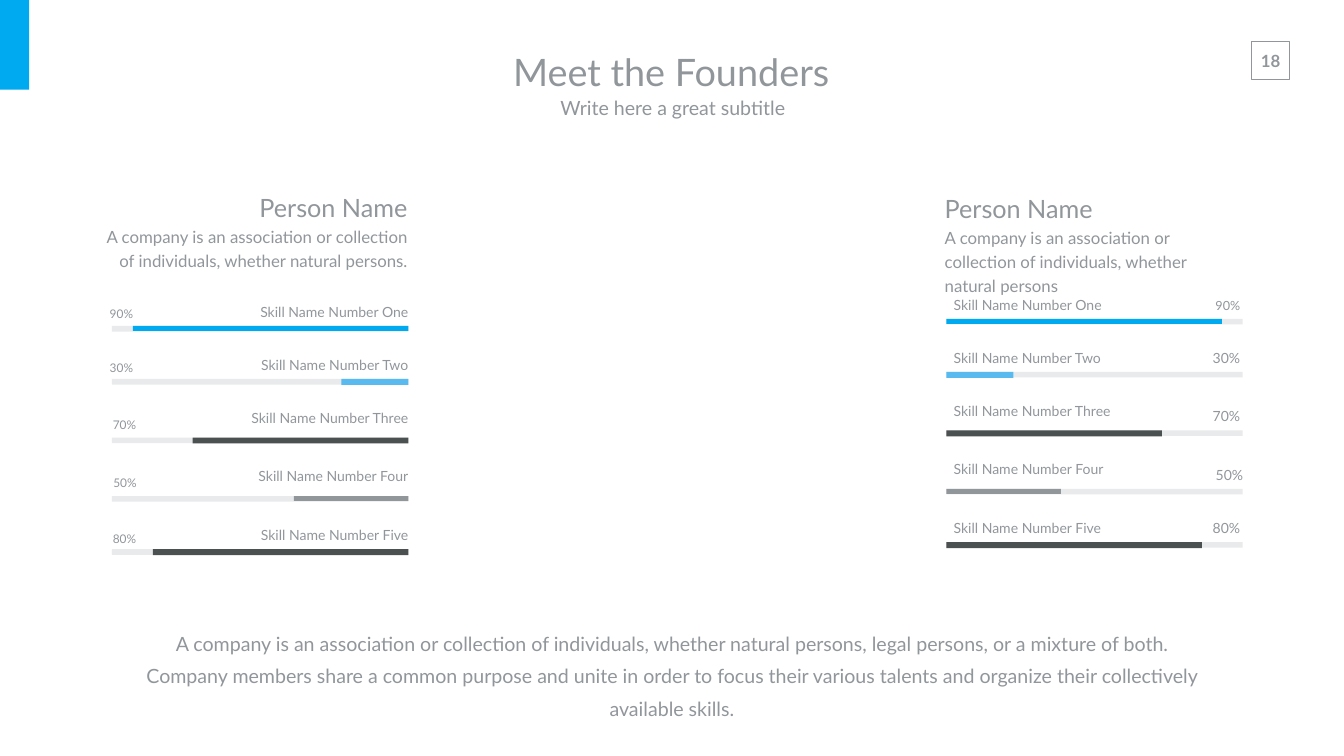
"""Build the "Meet the Founders" slide with two mirrored skill panels."""
from lxml import etree
from pptx import Presentation
from pptx.dml.color import RGBColor
from pptx.enum.shapes import MSO_SHAPE
from pptx.enum.text import MSO_ANCHOR, MSO_AUTO_SIZE, PP_ALIGN
from pptx.oxml.ns import qn
from pptx.util import Cm, Pt

RECT = MSO_SHAPE.RECTANGLE
TOP, MIDDLE = MSO_ANCHOR.TOP, MSO_ANCHOR.MIDDLE
LEFT, CENTER, RIGHT = PP_ALIGN.LEFT, PP_ALIGN.CENTER, PP_ALIGN.RIGHT
GROW = MSO_AUTO_SIZE.SHAPE_TO_FIT_TEXT

FONT = "Lato"
COLORS = {"grey": "91969B", "blue": "00AAF0", "sky": "59BAF0", "dark": "4B5050"}
NARROW, MEDIUM, WIDE = (0.25, 0.13), (0.5, 0.25), (0.69, 0.33)
TRACK_W, TRACK_H = 14.94, 0.28
LABEL_H, PERCENT_H = 1.73, 1.67
SKILL_SPACING = Pt(34)

TITLE = "Meet the Founders"
SUBTITLE = "Write here a great subtitle"
SUMMARY = (
    "A company is an association or collection of individuals, whether natural persons, "
    "legal persons, or a mixture of both. Company members share a common purpose and unite "
    "in order to focus their various talents and organize their collectively available skills."
)
BIO = "A company is an association or collection of individuals, whether natural persons"

# name, percent, bar width, bar height, colour, row offset, label lift, label width
SKILLS = [
    ("Skill Name Number One", "90%", 13.89, 0.25, "blue", 0, 1.74, 13.36),
    ("Skill Name Number Two", "30%", 3.38, 0.3, "sky", 2.67, 1.74, 13.36),
    ("Skill Name Number Three", "70%", 10.87, 0.3, "dark", 5.62, 2.02, 13.36),
    ("Skill Name Number Four", "50%", 5.77, 0.25, "grey", 8.57, 2.02, 13.36),
    ("Skill Name Number Five", "80%", 12.88, 0.3, "dark", 11.25, 1.74, 10.34),
]

# percents: left, lift above the bar, width, size, alignment
FOUNDERS = [
    {
        "bio": BIO, "box": (47.35, 9.3, 15.27, 4.52), "align": LEFT,
        "track": (47.68, 16.07), "label_edge": 47.55,
        "percents": [
            (60.5, 1.74, 2.49, 18, RIGHT), (60.5, 1.74, 2.49, 20, RIGHT),
            (60.5, 1.74, 2.49, 20, RIGHT), (60.4, 1.74, 2.74, 20, RIGHT),
            (60.5, 1.74, 2.49, 20, RIGHT),
        ],
    },
    {
        "bio": BIO + ".", "box": (4.32, 9.27, 16.46, 4.52), "align": RIGHT,
        "track": (5.64, 16.43), "label_edge": 21.08,
        "percents": [
            (5.03, 1.7, 2.49, 17, LEFT), (5.03, 1.68, 2.49, 17, LEFT),
            (5.03, 1.75, 2.49, 17, CENTER), (4.93, 1.77, 2.74, 17, CENTER),
            (5.03, 1.6, 2.49, 17, CENTER),
        ],
    },
]


def add_text(s, box, lines, align, insets=MEDIUM, spacing=None, anchor=TOP, bold=False, wrap=True):
    tf = s.shapes.add_textbox(*map(Cm, box)).text_frame
    tf.word_wrap, tf.auto_size, tf.vertical_anchor = wrap, GROW, anchor
    tf.margin_left = tf.margin_right = Cm(insets[0])
    tf.margin_top = tf.margin_bottom = Cm(insets[1])
    for i, (text, size) in enumerate(lines):
        p = tf.add_paragraph() if i else tf.paragraphs[0]
        p.text, p.alignment = text, align
        if spacing is not None:
            p.line_spacing = spacing
        p.font.name, p.font.size, p.font.bold = FONT, Pt(size), bold
        p.font.color.rgb = RGBColor.from_string(COLORS["grey"])


def add_bar(s, box, color, opacity=100):
    sp = s.shapes.add_shape(RECT, *map(Cm, box))
    sp.shadow.inherit = False
    sp.line.fill.background()
    sp.fill.solid()
    sp.fill.fore_color.rgb = RGBColor.from_string(COLORS[color])
    if opacity < 100:
        clr = sp._element.spPr.find(qn("a:solidFill"))[0]
        etree.SubElement(clr, qn("a:alpha"), val=str(opacity * 1000))


def add_page_number(s):
    sp = s.shapes.add_shape(RECT, Cm(63.07), Cm(2.08), Cm(1.9), Cm(1.9))
    sp.shadow.inherit = False
    sp.fill.background()
    sp.line.color.rgb = RGBColor.from_string(COLORS["grey"])
    sp.line.width = Pt(1)
    add_text(s, (62.99, 2.29, 2.06, 1.55), [("18", 24)], CENTER, bold=True, wrap=False)


def add_founder(s, founder):
    align = founder["align"]
    mirrored = align == RIGHT
    x, top = founder["track"]
    add_text(s, founder["box"], [("Person Name", 36), (founder["bio"], 24)], align, NARROW, 1.2)
    for skill, placing in zip(SKILLS, founder["percents"]):
        name, percent, width, height, color, offset, label_lift, label_w = skill
        percent_x, percent_lift, percent_w, size, percent_align = placing
        y = top + offset
        bar_x = x + TRACK_W - width if mirrored else x
        label_x = founder["label_edge"] - (label_w if mirrored else 0)
        add_bar(s, (x, y, TRACK_W, TRACK_H), "grey", 20)
        add_bar(s, (bar_x, y, width, height), color)
        add_text(s, (label_x, y - label_lift, label_w, LABEL_H), [(name, 20)], align,
                 spacing=SKILL_SPACING)
        add_text(s, (percent_x, y - percent_lift, percent_w, PERCENT_H), [(percent, size)],
                 percent_align, spacing=SKILL_SPACING)


def main():
    prs = Presentation()
    prs.slide_width, prs.slide_height = Cm(67.72), Cm(38.1)
    s = prs.slides.add_slide(prs.slide_layouts[6])
    add_page_number(s)
    add_bar(s, (0, 0, 1.47, 4.52), "blue")
    add_text(s, (20.7, 2.11, 26.24, 3), [(TITLE, 54)], CENTER, WIDE, anchor=MIDDLE)
    add_text(s, (20.78, 4.47, 26.24, 1.88), [(SUBTITLE, 28)], CENTER, WIDE, anchor=MIDDLE)
    for founder in FOUNDERS:
        add_founder(s, founder)
    add_text(s, (6.73, 31.22, 54.25, 3.53), [(SUMMARY, 28)], CENTER, NARROW, 1.4)
    prs.save("out.pptx")


if __name__ == "__main__":
    main()
